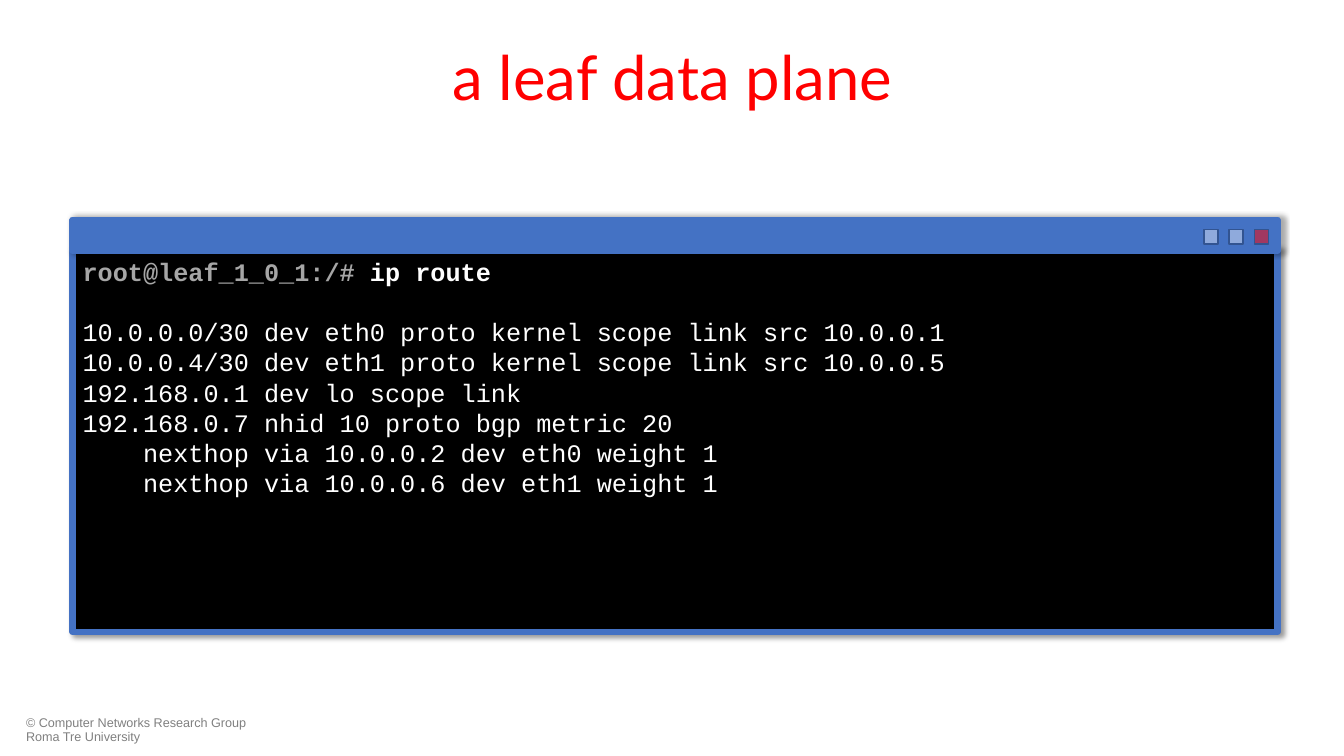
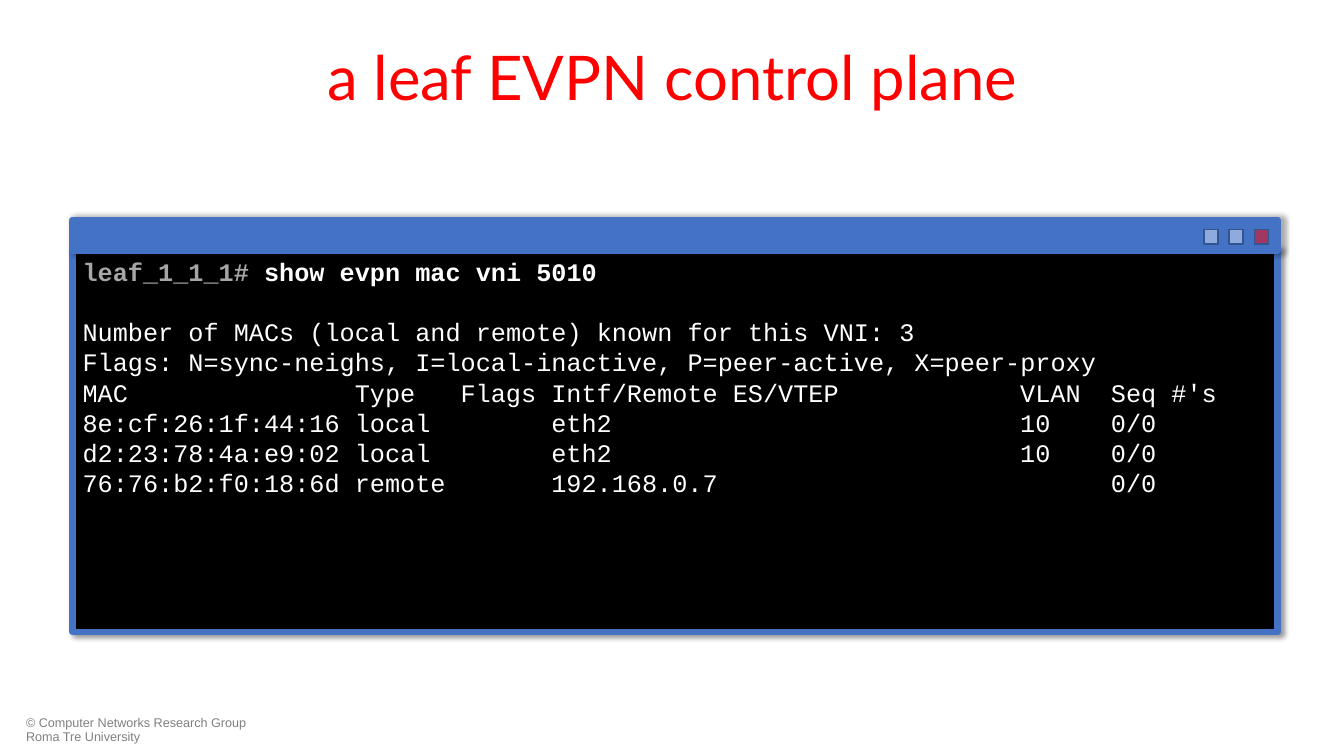
from lxml import etree
from pptx import Presentation
from pptx.dml.color import RGBColor
from pptx.enum.shapes import MSO_SHAPE
from pptx.enum.text import MSO_ANCHOR, MSO_AUTO_SIZE, PP_ALIGN
from pptx.oxml.ns import qn
from pptx.util import Inches, Pt

WIDTH, HEIGHT = 13.33, 7.5
TITLE_BOX = (0.67, 0.13, 12, 1.25)
WINDOW_BOX = (0.72, 2.18, 11.95, 4.09)
FOOTER_BOX = (0.16, 7.06, 2.49, 0.36)
FOOTER = "© Computer Networks Research Group Roma Tre University"

RED = RGBColor(0xFF, 0, 0)
BLACK = RGBColor(0, 0, 0)
WHITE = RGBColor(0xFF, 0xFF, 0xFF)
FRAME_BLUE = RGBColor(0x44, 0x72, 0xC4)
BUTTON_BLUE = RGBColor(0x8F, 0xAA, 0xDC)
BUTTON_EDGE = RGBColor(0x32, 0x54, 0x91)
PROMPT_GRAY = RGBColor(0xA6, 0xA6, 0xA6)
FOOTER_GRAY = RGBColor(0x80, 0x80, 0x80)

CODE_SIZE = 18
LINE_PITCH = 1.2 * CODE_SIZE
CHAR_WIDTH = Pt(0.6 * CODE_SIZE)

# title, prompt, command, output lines, character columns of the tab stops
SCREENS = [
    ("a leaf data plane", "root@leaf_1_0_1:/# ", "ip route", [
        "10.0.0.0/30 dev eth0 proto kernel scope link src 10.0.0.1",
        "10.0.0.4/30 dev eth1 proto kernel scope link src 10.0.0.5",
        "192.168.0.1 dev lo scope link",
        "192.168.0.7 nhid 10 proto bgp metric 20",
        "    nexthop via 10.0.0.2 dev eth0 weight 1",
        "    nexthop via 10.0.0.6 dev eth1 weight 1",
    ], []),
    ("a leaf EVPN control plane", "leaf_1_1_1#", " show evpn mac vni 5010", [
        "Number of MACs (local and remote) known for this VNI: 3",
        "Flags: N=sync-neighs, I=local-inactive, P=peer-active, X=peer-proxy",
        "MAC\tType\tFlags\tIntf/Remote ES/VTEP\tVLAN\tSeq #'s",
        "8e:cf:26:1f:44:16\tlocal\t\teth2\t10\t0/0",
        "d2:23:78:4a:e9:02\tlocal\t\teth2\t10\t0/0",
        "76:76:b2:f0:18:6d\tremote\t\t192.168.0.7\t\t0/0",
    ], [18, 25, 31, 62, 68]),
]


def inches(box):
    return [Inches(length) for length in box]


def add_rect(slide, box, fill, edge, edge_width):
    rect = slide.shapes.add_shape(MSO_SHAPE.RECTANGLE, *inches(box))
    rect.shadow.inherit = False
    rect.fill.solid()
    rect.fill.fore_color.rgb = fill
    rect.line.color.rgb = edge
    rect.line.width = Pt(edge_width)
    return rect


def set_alpha(color, percent):
    etree.SubElement(color, qn("a:alpha"), val=str(percent * 1000))


def add_shadow(rect, alpha, blur, distance, angle):
    effects = rect._element.spPr.find(qn("a:effectLst"))
    shadow = etree.SubElement(
        effects, qn("a:outerShdw"), blurRad=str(Pt(blur)),
        dist=str(Pt(distance)), dir=str(angle * 60000), rotWithShape="0")
    set_alpha(etree.SubElement(shadow, qn("a:srgbClr"), val=str(BLACK)), alpha)


def add_tab_stops(paragraph, columns):
    tabs = etree.SubElement(paragraph._p.get_or_add_pPr(), qn("a:tabLst"))
    for column in columns:
        etree.SubElement(tabs, qn("a:tab"), pos=str(column * CHAR_WIDTH), algn="l")


def format_code(paragraph, bold):
    paragraph.alignment = PP_ALIGN.LEFT
    paragraph.line_spacing = Pt(LINE_PITCH)
    font = paragraph.font
    font.name, font.size, font.bold = "Courier New", Pt(CODE_SIZE), bold
    font.color.rgb = WHITE


def fill_console(frame, prompt, command, output, columns):
    frame.word_wrap = True
    frame.vertical_anchor = MSO_ANCHOR.TOP
    frame.margin_top = Inches(0.08)

    # Prompt and command
    first = frame.paragraphs[0]
    prompt_run = first.add_run()
    prompt_run.text = prompt
    prompt_run.font.color.rgb = PROMPT_GRAY
    first.add_run().text = command
    format_code(first, True)

    # Output, one line below the command
    for number, text in enumerate(output):
        line = frame.add_paragraph()
        if columns:
            add_tab_stops(line, columns)
        line.add_run().text = text
        format_code(line, False)
        if number == 0:
            line.space_before = Pt(LINE_PITCH)


def add_terminal(slide, box, prompt, command, output, columns):
    left, top, width, height = box
    bar_height, body_offset = 0.31, 0.28

    # Console body
    body = add_rect(slide, (left, top + body_offset, width, height - body_offset),
                    BLACK, FRAME_BLUE, 4.5)
    add_shadow(body, 40, 4, 3, 45)
    fill_console(body.text_frame, prompt, command, output, columns)

    # Title bar
    bar = add_rect(slide, (left, top, width, bar_height), FRAME_BLUE, FRAME_BLUE, 4.5)
    add_shadow(bar, 32, 4, 2, 0)

    # Window buttons, from the right; the first one closes
    side, edge_gap, pitch = 0.14, 0.09, 0.25
    for index, fill in enumerate((RED, BUTTON_BLUE, BUTTON_BLUE)):
        x = left + width - edge_gap - side - index * pitch
        button = add_rect(slide, (x, top + 0.1, side, side), fill, BUTTON_EDGE, 1)
        if fill == RED:
            set_alpha(button._element.spPr.find(qn("a:solidFill"))[0], 50)


def set_title(slide, text):
    title = slide.shapes.title
    title.left, title.top, title.width, title.height = inches(TITLE_BOX)
    frame = title.text_frame
    frame.text = text
    frame.auto_size = MSO_AUTO_SIZE.NONE
    frame.vertical_anchor = MSO_ANCHOR.MIDDLE
    paragraph = frame.paragraphs[0]
    paragraph.alignment = PP_ALIGN.CENTER
    paragraph.font.name, paragraph.font.size = "Lato", Pt(44)
    paragraph.font.color.rgb = RED


def add_footer(slide):
    frame = slide.shapes.add_textbox(*inches(FOOTER_BOX)).text_frame
    frame.word_wrap = True
    frame.text = FOOTER
    paragraph = frame.paragraphs[0]
    paragraph.line_spacing = 0.9
    paragraph.font.name, paragraph.font.size = "Arial", Pt(9)
    paragraph.font.color.rgb = FOOTER_GRAY


def main():
    deck = Presentation()
    deck.slide_width, deck.slide_height = Inches(WIDTH), Inches(HEIGHT)
    title_only = deck.slide_layouts[5]
    for title, *session in SCREENS:
        slide = deck.slides.add_slide(title_only)
        add_footer(slide)
        set_title(slide, title)
        add_terminal(slide, WINDOW_BOX, *session)
    deck.save("out.pptx")


if __name__ == "__main__":
    main()
